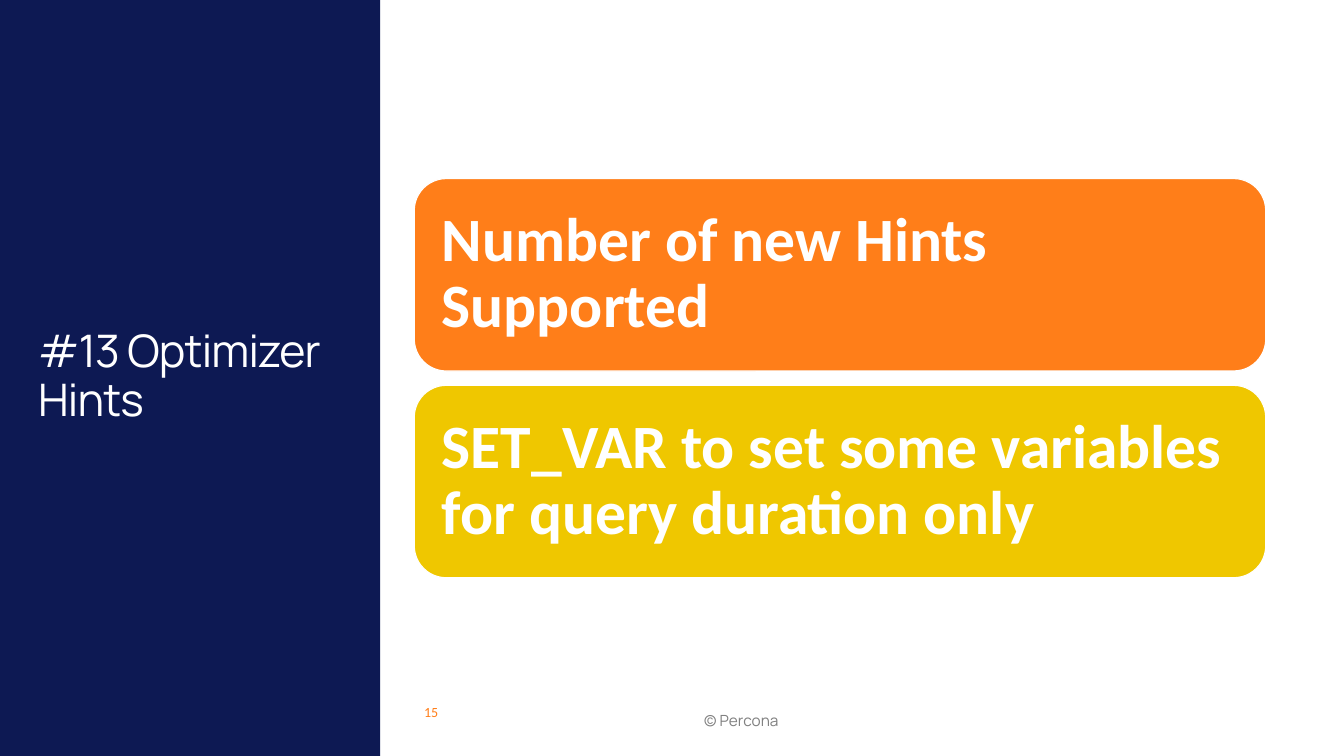
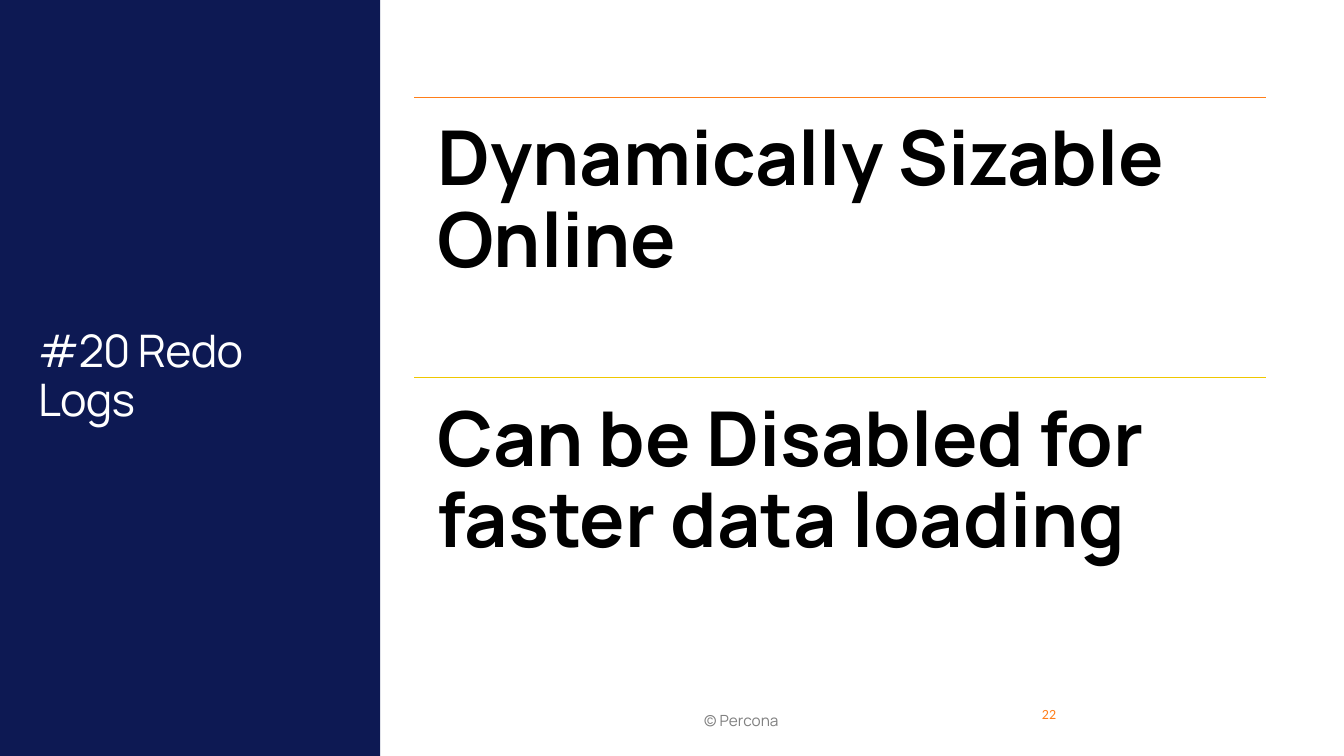
"""Build two slides on database optimizer hints and redo logs."""
from dataclasses import dataclass

from lxml.etree import SubElement
from pptx import Presentation
from pptx.dml.color import RGBColor as Color
from pptx.enum.shapes import MSO_CONNECTOR as Connector, MSO_SHAPE as Preset
from pptx.enum.text import MSO_ANCHOR as Anchor, PP_ALIGN as Align
from pptx.oxml.ns import qn
from pptx.util import Cm, Pt


@dataclass(frozen=True)
class Style:
    """Describe how one kind of text looks."""
    font: str
    size: int
    color: str
    bold: bool = False
    spacing: int = 0
    line_spacing: float = 1.0
    anchor: Anchor = Anchor.TOP
    align: Align = Align.LEFT
    inset: tuple = (0.25, 0.13)


@dataclass(frozen=True)
class Theme:
    """Hold the colours, type styles and shared measures."""
    navy: str = "0D1953"
    white: str = "FFFFFF"
    accents: tuple = ("FF7E19", "EFC700")
    rule_width: float = 0.85
    width: float = 33.87
    height: float = 19.05
    band_width: float = 9.58
    content_left: float = 10.44
    content_width: float = 21.46
    title: Style = Style("Manrope", 32, "FFFFFF", spacing=-60,
                         line_spacing=0.9, anchor=Anchor.MIDDLE)
    footer: Style = Style("Manrope", 11, "808080", anchor=Anchor.MIDDLE,
                          align=Align.CENTER)
    number: Style = Style("Calibri", 10, "FF7E19")
    card: Style = Style("Calibri", 44, "FFFFFF", bold=True, line_spacing=0.9,
                        anchor=Anchor.MIDDLE, inset=(0.46, 0.46))
    statement: Style = Style("Manrope", 54, "000000", bold=True,
                             line_spacing=0.9, inset=(0.58, 0.58))


THEME = Theme()


def write_text(shape, text, style):
    """Write one styled paragraph into a shape."""
    frame = shape.text_frame
    frame.word_wrap = True
    frame.vertical_anchor = style.anchor
    horizontal, vertical = style.inset
    frame.margin_left = frame.margin_right = Cm(horizontal)
    frame.margin_top = frame.margin_bottom = Cm(vertical)
    paragraph = frame.paragraphs[0]
    paragraph.alignment = style.align
    paragraph.line_spacing = style.line_spacing
    run = paragraph.add_run()
    run.text = text
    run.font.name = style.font
    run.font.size = Pt(style.size)
    run.font.bold = style.bold
    run.font.color.rgb = Color.from_string(style.color)
    if style.spacing:
        run.font._element.set("spc", str(style.spacing))


def add_text(slide, box, text, style):
    """Add a text box at left, top, width and height."""
    write_text(slide.shapes.add_textbox(*map(Cm, box)), text, style)


def add_block(slide, preset, box, fill, outline=None):
    """Add a flat filled shape with an optional outline."""
    shape = slide.shapes.add_shape(preset, *map(Cm, box))
    shape.shadow.inherit = False
    shape.fill.solid()
    shape.fill.fore_color.rgb = Color.from_string(fill)
    if outline:
        shape.line.color.rgb = Color.from_string(outline)
        shape.line.width = Pt(THEME.rule_width)
    else:
        shape.line.fill.background()
    return shape


def add_rule(slide, top, color):
    """Add a horizontal rule across the content area."""
    left, right = THEME.content_left, THEME.content_left + THEME.content_width
    rule = slide.shapes.add_connector(
        Connector.STRAIGHT, Cm(left), Cm(top), Cm(right), Cm(top))
    rule.line.color.rgb = Color.from_string(color)
    rule.line.width = Pt(THEME.rule_width)
    SubElement(rule._element.spPr, qn("a:effectLst"))


def add_base_slide(presentation, title, number, number_left, number_top):
    """Add a slide with the title band, footer and page number."""
    slide = presentation.slides.add_slide(presentation.slide_layouts[6])
    add_block(slide, Preset.RECTANGLE,
              (0, 0, THEME.band_width, THEME.height), THEME.navy)
    add_text(slide, (0.71, 3.12, 8.18, 12.78), title, THEME.title)
    add_text(slide, (10.19, 17.65, 16.99, 1.02), "© Percona", THEME.footer)
    add_text(slide, (number_left, number_top, 4.24, 1.02), number, THEME.number)
    return slide


def add_cards(slide, texts, top=4.5, height=4.85, gap=0.36):
    """Stack rounded cards in the accent colours."""
    for index, (text, color) in enumerate(zip(texts, THEME.accents)):
        box = (THEME.content_left, top + index * (height + gap),
               THEME.content_width, height)
        card = add_block(slide, Preset.ROUNDED_RECTANGLE, box, color, THEME.white)
        write_text(card, text, THEME.card)


def add_statements(slide, texts, top=2.46, height=7.06):
    """Stack statements, each under a rule in an accent colour."""
    for index, (text, color) in enumerate(zip(texts, THEME.accents)):
        row_top = top + index * height
        add_rule(slide, row_top, color)
        add_text(slide, (THEME.content_left, row_top, THEME.content_width, height),
                 text, THEME.statement)


def main():
    """Build and save the presentation."""
    presentation = Presentation()
    presentation.slide_width = Cm(THEME.width)
    presentation.slide_height = Cm(THEME.height)

    hints = add_base_slide(presentation, "#13 Optimizer Hints", "15",
                           THEME.content_left, 17.6)
    add_cards(hints, ("Number of new Hints Supported",
                      "SET_VAR to set some variables for query duration only"))

    redo_logs = add_base_slide(presentation, "#20 Redo Logs", "22", 26.01, 17.65)
    add_statements(redo_logs, ("Dynamically Sizable Online",
                               "Can be Disabled for faster data loading"))

    presentation.save("out.pptx")


if __name__ == "__main__":
    main()
